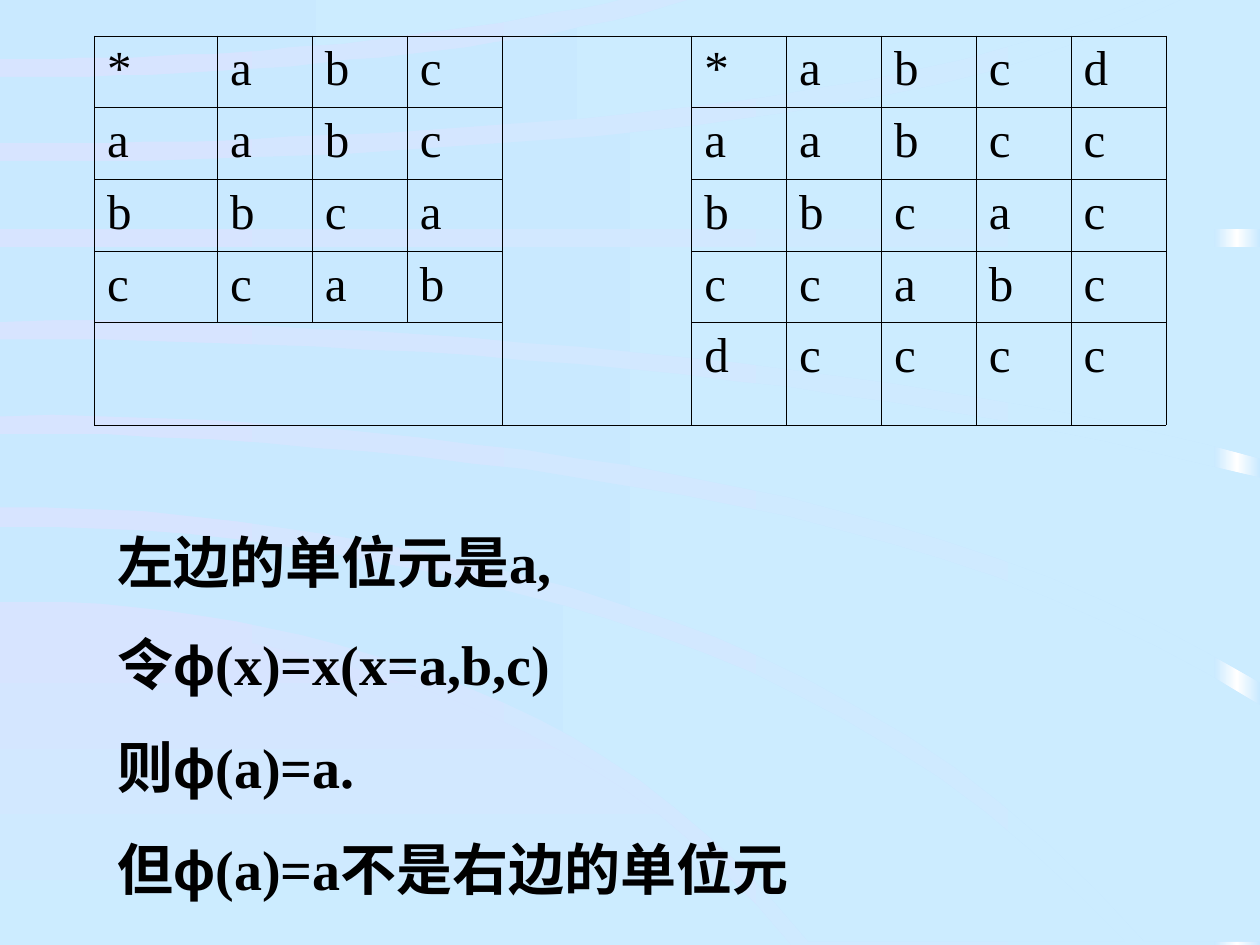
"""Build a slide with two operation tables and a remark on their identity element."""
from copy import deepcopy
from math import prod

from lxml.etree import SubElement
from pptx import Presentation
from pptx.dml.color import RGBColor
from pptx.enum.shapes import MSO_SHAPE as Preset
from pptx.oxml.ns import qn
from pptx.util import Pt

BLACK = RGBColor(0x00, 0x00, 0x00)
WHITE = RGBColor(0xFF, 0xFF, 0xFF)
LILAC = RGBColor(0xD7, 0xE4, 0xFF)
SKY = RGBColor(0xC9, 0xE9, 0xFF)
PALE = RGBColor(0xCC, 0xEC, 0xFF)
BODY_FONT, PHI_FONT = "Times New Roman", "Arial"
WIDTH, HEIGHT, EDGE_WIDTH = 720, 540, 26.5
CURVE_STEPS = 24

LEFT_TABLE = ["*abc", "aabc", "bbca", "ccab"]
RIGHT_TABLE = ["*abcd", "aabcc", "bbcac", "ccabc", "dcccc"]
RIGHT_START, GAP_COLUMN, LAST_ROW = 5, 4, 4
COLUMN_WIDTHS = [70.3] + [54.2] * 3 + [108.4] + [54.2] * 5
ROW_HEIGHTS = [41] * 4 + [58.5]

REMARKS = [
    ["左边的单位元是a,"],
    ["令", "ϕ", "(x)=x(x=a,b,c)"],
    ["则", "ϕ", "(a)=a."],
    ["但", "ϕ", "(a)=a不是右边的单位元"],
]

SWOOSH = (452, [353.5, 362, 389, 440, 540]), (452, [540])
BANDS = [
    ((643, [301, 312, 346, 411, 538.5]), (462, [344, 352, 379.5, 433, 538.5])),
    ((720, [247.5, 255.5, 277.5, 320, 403]), (654, [290, 301.5, 336.5, 403.5, 538.5])),
    ((720, [193.5, 198, 211, 235, 273]), (720, [237.5, 244.5, 266.5, 309, 390])),
    ((720, [141]), (720, [183.5, 187.5, 201, 223.5, 262])),
    ((679, [92, 89, 77.5, 54, -1.5]), (720, [131])),
    ((400, [44, 42, 34.5, 21.5, -1.5]), (660, [82, 78.5, 67.5, 45.5, -1.5])),
    ((361, [-1.5]), (361, [34, 32, 26, 15, -1.5])),
]


def curve(reach, heights):
    """Pass a polynomial through heights spaced evenly from the left edge to reach."""
    points = []
    for step in range(CURVE_STEPS + 1):
        place = step / CURVE_STEPS * (len(heights) - 1)
        y = sum(
            height * prod((place - other) / (node - other)
                          for other in range(len(heights)) if other != node)
            for node, height in enumerate(heights))
        points.append((reach * step / CURVE_STEPS, y))
    return points


def set_gradient(fill, colours, angle=0):
    fill.gradient()
    fill.gradient_angle = angle
    first = fill.gradient_stops[0]._gs
    for _ in colours[2:]:
        first.addnext(deepcopy(first))
    for index, (stop, colour) in enumerate(zip(fill.gradient_stops, colours)):
        stop.position = index / (len(colours) - 1)
        stop.color.rgb = colour


def decorate(shape, colours, angle=0):
    set_gradient(shape.fill, colours, angle)
    shape.line.fill.background()
    shape.shadow.inherit = False


def add_band(slide, upper, lower, colours, angle=0):
    shorter, longer = sorted((upper, lower), key=lambda edge: edge[0])
    corner = (longer[0], shorter[1][-1])
    points = curve(*upper) + [corner] + curve(*lower)[::-1]
    builder = slide.shapes.build_freeform(*points[0], scale=Pt(1))
    builder.add_line_segments(points[1:], close=True)
    decorate(builder.convert_to_shape(), colours, angle)


def add_run(paragraph, text, **formats):
    run = paragraph.add_run()
    run.text = text
    for key, value in formats.items():
        setattr(run.font, key, value)
    run.font.color.rgb = BLACK


def set_borders(cell):
    properties = cell._tc.get_or_add_tcPr()
    for side in ("a:lnL", "a:lnR", "a:lnT", "a:lnB"):
        border = SubElement(properties, qn(side), w=str(Pt(0.45)))
        solid = SubElement(border, qn("a:solidFill"))
        SubElement(solid, qn("a:srgbClr"), val=str(BLACK))


def add_operations(slide):
    frame = slide.shapes.add_table(
        len(ROW_HEIGHTS), len(COLUMN_WIDTHS), Pt(54), Pt(20.5),
        Pt(sum(COLUMN_WIDTHS)), Pt(sum(ROW_HEIGHTS)))
    table = frame.table
    table.first_row = table.horz_banding = False
    for column, width in zip(table.columns, COLUMN_WIDTHS):
        column.width = Pt(width)
    for row, height in zip(table.rows, ROW_HEIGHTS):
        row.height = Pt(height)
    for cell in table.iter_cells():
        set_borders(cell)
        cell.fill.background()
    for start, entries in ((0, LEFT_TABLE), (RIGHT_START, RIGHT_TABLE)):
        for row, letters in enumerate(entries):
            for column, letter in enumerate(letters, start):
                paragraph = table.cell(row, column).text_frame.paragraphs[0]
                add_run(paragraph, letter, size=Pt(28), name=BODY_FONT)
    table.cell(0, GAP_COLUMN).merge(table.cell(LAST_ROW, GAP_COLUMN))
    table.cell(LAST_ROW, 0).merge(table.cell(LAST_ROW, GAP_COLUMN - 1))


def add_remarks(slide):
    frame = slide.shapes.add_textbox(Pt(60), Pt(298), Pt(641), Pt(221)).text_frame
    frame.word_wrap = True
    for index, parts in enumerate(REMARKS):
        paragraph = frame.add_paragraph() if index else frame.paragraphs[0]
        paragraph.space_before = Pt(20 if index else 0)
        for part in parts:
            font = PHI_FONT if part == "ϕ" else BODY_FONT
            add_run(paragraph, part, size=Pt(32), name=font, bold=True)


def main():
    deck = Presentation()
    deck.slide_width, deck.slide_height = Pt(WIDTH), Pt(HEIGHT)
    slide = deck.slides.add_slide(deck.slide_layouts[6])
    set_gradient(slide.background.fill, [LILAC, PALE])
    edge = slide.shapes.add_shape(
        Preset.RECTANGLE, Pt(WIDTH - EDGE_WIDTH), Pt(0), Pt(EDGE_WIDTH), Pt(HEIGHT))
    decorate(edge, [SKY, WHITE, SKY])
    add_band(slide, *SWOOSH, [LILAC, PALE], 270)
    for upper, lower in BANDS:
        add_band(slide, upper, lower, [SKY, PALE])
    add_operations(slide)
    add_remarks(slide)
    deck.save("out.pptx")


if __name__ == "__main__":
    main()
